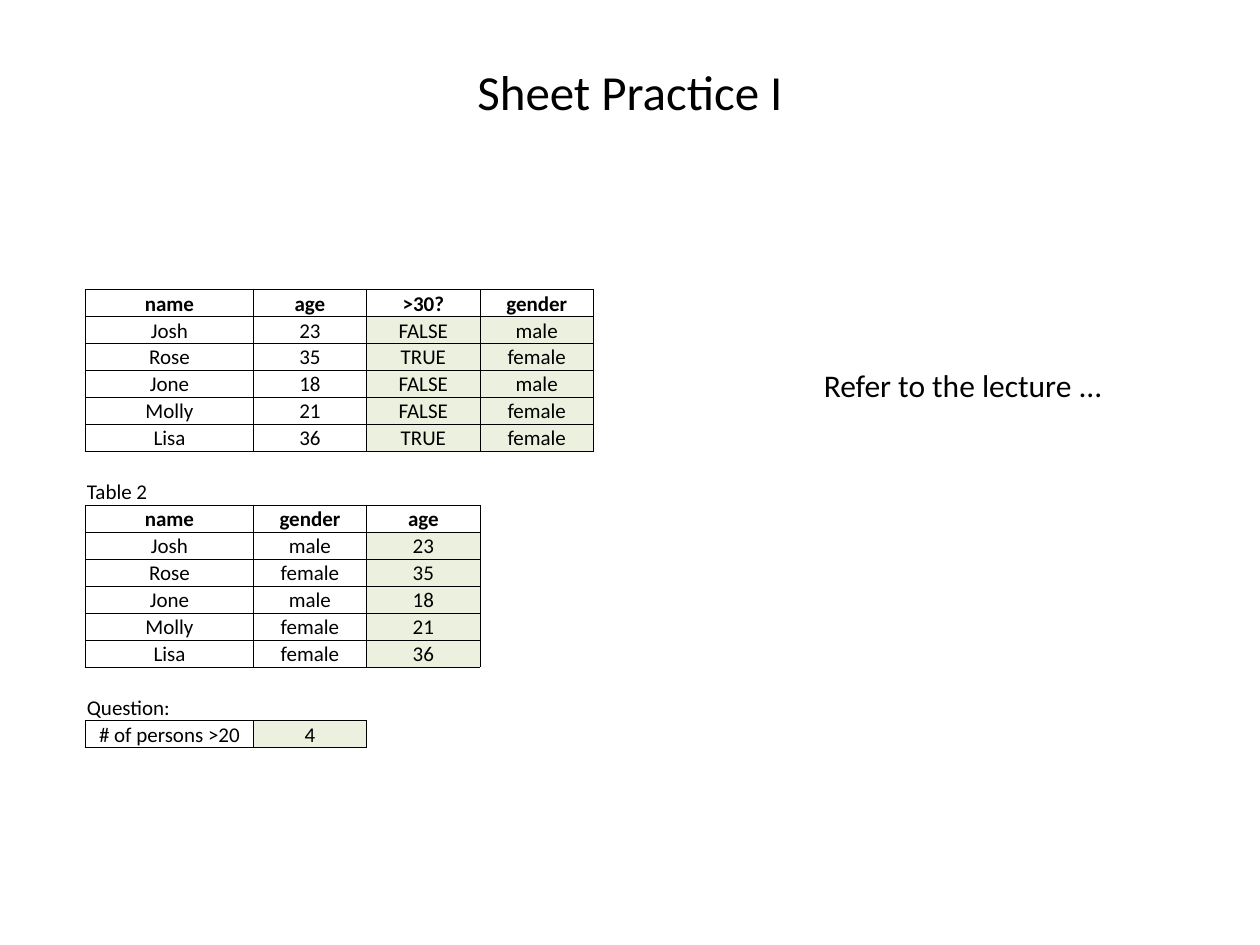
from lxml import etree
from pptx import Presentation
from pptx.dml.color import RGBColor
from pptx.enum.text import MSO_ANCHOR, PP_ALIGN
from pptx.oxml.ns import qn
from pptx.util import Inches, Pt

# Content: each block has a caption, its rows and the first shaded column
TITLE = "Sheet Practice I"
NOTE = "Refer to the lecture ..."
PEOPLE = [("Josh", 23, "male"), ("Rose", 35, "female"), ("Jone", 18, "male"),
          ("Molly", 21, "female"), ("Lisa", 36, "female")]
AGE_BLOCK = [("name", "age", ">30?", "gender")] + [
    (name, age, str(age > 30).upper(), gender) for name, age, gender in PEOPLE]
GENDER_BLOCK = [("name", "gender", "age")] + [
    (name, gender, age) for name, age, gender in PEOPLE]
BLOCKS = [(None, AGE_BLOCK, 2), ("Table 2", GENDER_BLOCK, 2),
          ("Question:", [("# of persons >20", 4)], 1)]

# Layout and style
FONT, BLACK, SHADE = "Calibri", "000000", "EBF1DE"
COLUMNS = [1.33, 0.9, 0.9, 0.9]
TABLE_LEFT, TABLE_TOP, TABLE_HEIGHT = 0.68, 2.3, 3.64
NO_STYLE = "{2D5ABB26-0587-4C30-8999-92F81FD0307C}"


def color(hex_code):
    return RGBColor.from_string(hex_code)


def write(frame, text, size, align=PP_ALIGN.LEFT, bold=False):
    paragraph = frame.paragraphs[0]
    paragraph.alignment = align
    run = paragraph.add_run()
    run.text = str(text)
    run.font.name, run.font.size, run.font.bold = FONT, Pt(size), bold
    run.font.color.rgb = color(BLACK)


def add_borders(cell):
    properties = cell._tc.get_or_add_tcPr()
    for side in "LRTB":
        line = etree.SubElement(properties, qn(f"a:ln{side}"), w=str(Pt(0.5)))
        fill = etree.SubElement(line, qn("a:solidFill"))
        etree.SubElement(fill, qn("a:srgbClr"), val=BLACK)


prs = Presentation()
prs.slide_width, prs.slide_height = Inches(10), Inches(7.5)
slide = prs.slides.add_slide(prs.slide_layouts[5])

# Title
title = slide.shapes.title
title.left, title.top, title.width, title.height = map(Inches, (0.5, 0.3, 9, 0.85))
title.text_frame.vertical_anchor = MSO_ANCHOR.MIDDLE
write(title.text_frame, TITLE, 28, PP_ALIGN.CENTER)

# Sheet rows: (values, shaded from, is caption); a spacer row precedes captions
sheet = []
for caption, rows, shaded_from in BLOCKS:
    if caption:
        sheet += [((), 0, False), ((caption,), 0, True)]
    sheet += [(values, shaded_from, False) for values in rows]

# Table
table = slide.shapes.add_table(
    len(sheet), len(COLUMNS), Inches(TABLE_LEFT), Inches(TABLE_TOP),
    Inches(sum(COLUMNS)), Inches(TABLE_HEIGHT)).table
table.first_row = table.horz_banding = False
table._tbl.tblPr.find(qn("a:tableStyleId")).text = NO_STYLE
for column, width in zip(table.columns, COLUMNS):
    column.width = Inches(width)

for r, (values, shaded_from, is_caption) in enumerate(sheet):
    table.rows[r].height = Inches(TABLE_HEIGHT / len(sheet))
    is_header = "name" in values
    for c in range(len(COLUMNS)):
        cell = table.cell(r, c)
        cell.margin_left = cell.margin_right = cell.margin_top = Inches(0.01)
        cell.margin_bottom = 0
        cell.vertical_anchor = MSO_ANCHOR.BOTTOM
        shaded = False
        if c < len(values):
            align = PP_ALIGN.LEFT if is_caption else PP_ALIGN.CENTER
            write(cell.text_frame, values[c], 12, align, is_header)
            if not is_caption:
                add_borders(cell)
                shaded = c >= shaded_from and not is_header
        else:
            # Keeps empty cells from stretching the row
            etree.SubElement(cell.text_frame.paragraphs[0]._p,
                             qn("a:endParaRPr"), sz="1200")
        if shaded:
            cell.fill.solid()
            cell.fill.fore_color.rgb = color(SHADE)
        else:
            cell.fill.background()

# Side note
note = slide.shapes.add_textbox(*map(Inches, (6.44, 2.86, 2.46, 0.4)))
note.text_frame.word_wrap = False
write(note.text_frame, NOTE, 18)

prs.save("out.pptx")
